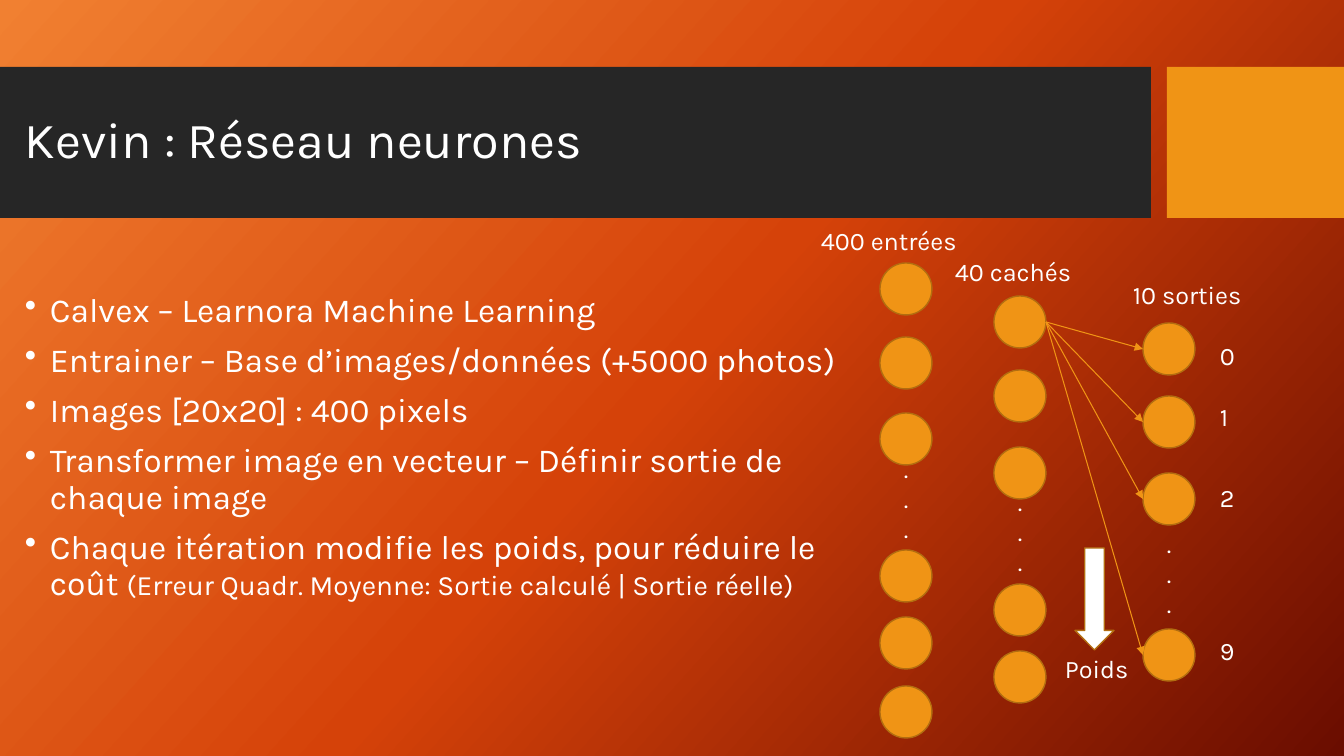
"""Builds a slide that explains a neural network with three layers of neurons."""
from copy import deepcopy
from dataclasses import dataclass
from typing import NamedTuple

from lxml.etree import SubElement
from pptx import Presentation
from pptx.dml.color import RGBColor
from pptx.enum.shapes import MSO_CONNECTOR, MSO_SHAPE
from pptx.enum.text import MSO_ANCHOR
from pptx.oxml.ns import qn
from pptx.shapes.autoshape import Shape
from pptx.slide import Slide
from pptx.text.text import TextFrame, _Paragraph as Paragraph
from pptx.util import Emu, Pt


@dataclass(frozen=True)
class Theme:
    """Colours, font and type sizes of the slide."""
    font: str = "Karla"
    white: RGBColor = RGBColor(0xFF, 0xFF, 0xFF)
    band: RGBColor = RGBColor(0x26, 0x26, 0x26)
    accent: RGBColor = RGBColor(0xF0, 0x94, 0x15)
    outline: RGBColor = RGBColor(0xB2, 0x6D, 0x10)
    backdrop: tuple[str, ...] = ("F18031", "D54209", "6A0D00")
    backdrop_angle: int = 42
    title: int = 36
    body: int = 24
    detail: int = 20
    label: int = 18


class Area(NamedTuple):
    """A rectangle in pixels."""
    left: int
    top: int
    width: int
    height: int


class Layer(NamedTuple):
    """A column of neurons with its caption and dots."""
    left: int
    tops: tuple[int, ...]
    dots_top: int
    caption: str
    caption_area: Area


class Bullet(NamedTuple):
    """A bullet with an optional smaller ending."""
    text: str
    detail: str = ""


THEME = Theme()
SCALE = 914400 / 100.8
NEURON = 52
LABEL_HEIGHT = 40
INDENT = 25

LAYERS = (
    Layer(880, (263, 337, 413, 550, 617, 686), 448, "400 entrées", Area(811, 220, 197, LABEL_HEIGHT)),
    Layer(994, (296, 370, 447, 584, 651), 481, "40 cachés", Area(945, 251, 197, LABEL_HEIGHT)),
    Layer(1143, (323, 396, 473, 629), 523, "10 sorties", Area(1123, 274, 136, LABEL_HEIGHT)),
)
OUTPUT_DIGITS = {"0": 335, "1": 396, "2": 477, "9": 630}
BULLETS = (
    Bullet("Calvex – Learnora Machine Learning"),
    Bullet("Entrainer – Base d’images/données (+5000 photos)"),
    Bullet("Images [20x20] : 400 pixels"),
    Bullet("Transformer image en vecteur – Définir sortie de chaque image"),
    Bullet("Chaque itération modifie les poids, pour réduire le coût ",
           "(Erreur Quadr. Moyenne: Sortie calculé | Sortie réelle)"),
)


def px(pixels: float) -> Emu:
    """Turn pixels into EMU."""
    return Emu(round(pixels * SCALE))


def place(area: Area) -> list[Emu]:
    """Turn an area into EMU lengths."""
    return [px(length) for length in area]


def paint_background(page: Slide) -> None:
    """Fill the background with a three-stop gradient."""
    fill = page.background.fill
    fill.gradient()
    fill.gradient_angle = 360 - THEME.backdrop_angle
    stops = page.element.find(".//" + qn("a:gsLst"))
    stops.insert(1, deepcopy(stops[0]))
    for index, (stop, colour) in enumerate(zip(fill.gradient_stops, THEME.backdrop)):
        stop.position = index / 2
        stop.color.rgb = RGBColor.from_string(colour)


def add_filled(page: Slide, kind: MSO_SHAPE, area: Area, colour: RGBColor, outlined: bool = True) -> Shape:
    """Add a solid preset shape."""
    shape = page.shapes.add_shape(kind, *place(area))
    shape.shadow.inherit = False
    shape.fill.solid()
    shape.fill.fore_color.rgb = colour
    if outlined:
        shape.line.color.rgb = THEME.outline
        shape.line.width = Pt(1)
    else:
        shape.line.fill.background()
    return shape


def set_font(para: Paragraph, size: int) -> None:
    """Give a paragraph the theme font in white."""
    para.font.name = THEME.font
    para.font.size = Pt(size)
    para.font.color.rgb = THEME.white


def add_text(page: Slide, area: Area, lines: tuple[str, ...], size: int) -> TextFrame:
    """Add a wrapped text box with one paragraph per line."""
    frame = page.shapes.add_textbox(*place(area)).text_frame
    frame.word_wrap = True
    frame.text = "\n".join(lines)
    for para in frame.paragraphs:
        set_font(para, size)
    return frame


def add_title(page: Slide) -> None:
    """Add the title over its band."""
    frame = add_text(page, Area(15, 83, 1059, 119), ("Kevin : Réseau neurones",), THEME.title)
    frame.vertical_anchor = MSO_ANCHOR.MIDDLE
    frame.paragraphs[0].line_spacing = 0.9


def add_bullets(page: Slide) -> None:
    """Add the bulleted body text."""
    lines = tuple(bullet.text for bullet in BULLETS)
    frame = add_text(page, Area(15, 288, 834, 431), lines, THEME.body)
    for para, bullet in zip(frame.paragraphs, BULLETS):
        para.line_spacing = 0.9
        para.space_before = Pt(10)
        properties = para.font._element.getparent()
        properties.set("marL", str(px(INDENT)))
        properties.set("indent", str(-px(INDENT)))
        mark = SubElement(properties, qn("a:buChar"), char="•")
        properties.find(qn("a:defRPr")).addprevious(mark)
        if bullet.detail:
            span = para.add_run()
            span.text = bullet.detail
            span.font.size = Pt(THEME.detail)


def add_layer(page: Slide, layer: Layer) -> None:
    """Add the neurons, dots and caption of a layer."""
    for top in layer.tops:
        add_filled(page, MSO_SHAPE.OVAL, Area(layer.left, top, NEURON, NEURON), THEME.accent)
    add_text(page, Area(layer.left + 14, layer.dots_top, 76, 102), (".",) * 3, THEME.label)
    add_text(page, layer.caption_area, (layer.caption,), THEME.label)


def add_weights(page: Slide, source: Layer, target: Layer) -> None:
    """Link the first source neuron to every target neuron."""
    middle = NEURON // 2
    start = px(source.left + NEURON), px(source.tops[0] + middle)
    for top in target.tops:
        link = page.shapes.add_connector(MSO_CONNECTOR.STRAIGHT, *start, px(target.left), px(top + middle))
        link.line.color.rgb = THEME.accent
        link.line.width = Pt(0.75)
        SubElement(link.line._get_or_add_ln(), qn("a:tailEnd"), type="triangle")
        SubElement(link._element.spPr, qn("a:effectLst"))


def main() -> None:
    """Build and save the deck."""
    deck = Presentation()
    deck.slide_width, deck.slide_height = px(1344), px(756)
    page = deck.slides.add_slide(deck.slide_layouts[6])
    paint_background(page)
    add_filled(page, MSO_SHAPE.RECTANGLE, Area(0, 67, 1151, 151), THEME.band, outlined=False)
    add_filled(page, MSO_SHAPE.RECTANGLE, Area(1167, 67, 177, 151), THEME.accent, outlined=False)
    add_title(page)
    add_bullets(page)
    for layer in LAYERS:
        add_layer(page, layer)
    add_weights(page, LAYERS[1], LAYERS[2])
    for digit, top in OUTPUT_DIGITS.items():
        add_text(page, Area(1210, top, 108, LABEL_HEIGHT), (digit,), THEME.label)
    add_filled(page, MSO_SHAPE.DOWN_ARROW, Area(1075, 548, 39, 102), THEME.white)
    add_text(page, Area(1055, 648, 101, LABEL_HEIGHT), ("Poids",), THEME.label)
    deck.save("out.pptx")


main()
